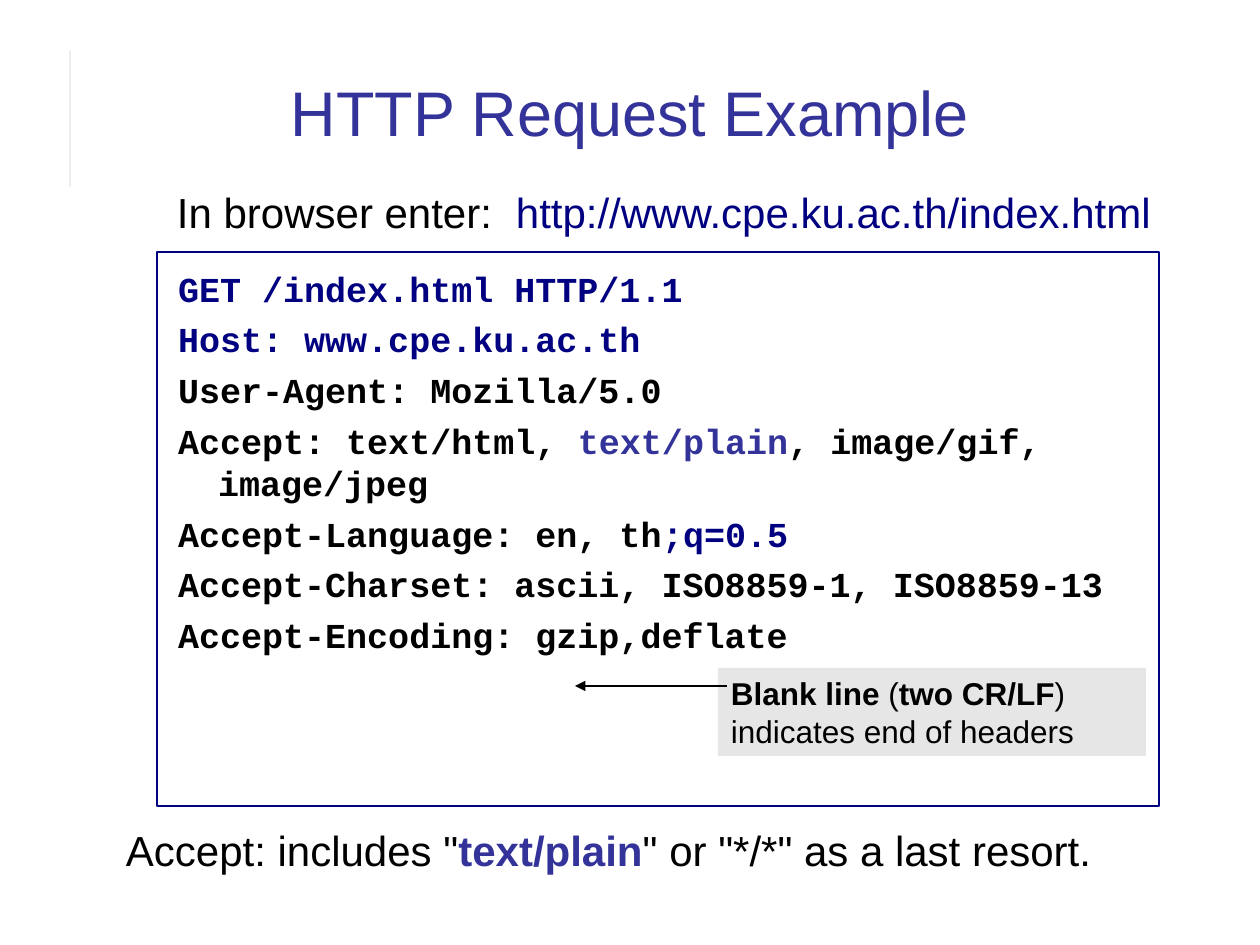
"""Build the HTTP request example slide."""
import pptx
import pptx.util
import pptx.dml.color
import pptx.enum.text
import pptx.enum.shapes
import pptx.oxml.ns
import lxml.etree

NAVY, BLUE, BLACK, GREY, PALE = "000080", "333399", "000000", "E6E6E6", "EEEEEE"
SANS, MONO = "Arial", "Courier New"
ANCHOR = pptx.enum.text.MSO_ANCHOR
ALIGN = pptx.enum.text.PP_ALIGN
TAB = 339

TITLE = [[("HTTP Request Example", BLUE, False)]]
ENTER = [[("In browser enter:\t", BLACK, False),
          ("http://www.cpe.ku.ac.th/index.html", NAVY, False)]]
CODE = [
    [("GET /index.html HTTP/1.1", NAVY, True)],
    [("Host: www.cpe.ku.ac.th", NAVY, True)],
    [("User-Agent: Mozilla/5.0", BLACK, True)],
    [("Accept: text/html, ", BLACK, True), ("text/plain", BLUE, True),
     (", image/gif, image/jpeg", BLACK, True)],
    [("Accept-Language: en, th", BLACK, True), (";q=0.5", NAVY, True)],
    [("Accept-Charset: ascii, ISO8859-1, ISO8859-13", BLACK, True)],
    [("Accept-Encoding: gzip,deflate", BLACK, True)],
]
BLANK = [[("Blank line ", BLACK, True), ("(", BLACK, False), ("two CR/LF", BLACK, True),
          (") indicates end of headers", BLACK, False)]]
RESORT = [[('Accept: includes "', BLACK, False), ("text/plain", BLUE, True),
           ('" or "*/*" as a last resort.', BLACK, False)]]
LINES = [((70, 50), (70, 187), PALE, 0.75, False),
         ((727, 686), (575, 686), BLACK, 0.75, True)]


def px(n):
    return round(n * 914400 / 126)


def hue(code):
    return pptx.dml.color.RGBColor.from_string(code)


def add(node, tag, **attrs):
    return lxml.etree.SubElement(node, pptx.oxml.ns.qn(tag), attrs)


def put(item, **vals):
    for key, val in vals.items():
        setattr(item, key, val)


def place(shape, left, top, width, height):
    put(shape, left=px(left), top=px(top), width=px(width), height=px(height))


def write(shape, rows, face, size, align=ALIGN.LEFT, anchor=ANCHOR.TOP, top=6, hang=0, tab=0):
    frame = shape.text_frame
    put(frame, word_wrap=True, auto_size=pptx.enum.text.MSO_AUTO_SIZE.NONE,
        vertical_anchor=anchor, margin_left=px(13), margin_right=px(13),
        margin_top=px(top), margin_bottom=px(6))
    for i, row in enumerate(rows):
        para = frame.paragraphs[0] if i == 0 else frame.add_paragraph()
        put(para, alignment=align, space_before=pptx.util.Pt(5 if i else 0))
        props = para._p.get_or_add_pPr()
        if hang:
            props.set("marL", str(px(48)))
            props.set("indent", str(px(-hang)))
            add(props, "a:buNone")
        if tab:
            add(add(props, "a:tabLst"), "a:tab", pos=str(px(tab)), algn="l")
        for text, tint, bold in row:
            run = para.add_run()
            run.text = text
            put(run.font, name=face, size=pptx.util.Pt(size), bold=bold)
            run.font.color.rgb = hue(tint)


def draw(shapes, start, end, tint, width, arrow):
    line = shapes.add_connector(pptx.enum.shapes.MSO_CONNECTOR.STRAIGHT,
                                *map(px, start + end))
    line.line.color.rgb = hue(tint)
    line.line.width = pptx.util.Pt(width)
    if arrow:
        add(line.line._get_or_add_ln(), "a:tailEnd", type="triangle")
    add(line._element.spPr, "a:effectLst")


def main():
    deck = pptx.Presentation()
    put(deck, slide_width=px(1260), slide_height=px(945))
    slide = deck.slides.add_slide(deck.slide_layouts[1])
    shapes = slide.shapes
    draw(shapes, *LINES[0])

    title, body = shapes.title, slide.placeholders[1]
    place(title, 84, 35, 1092, 120)
    write(title, TITLE, SANS, 36, align=ALIGN.CENTER, anchor=ANCHOR.BOTTOM)

    place(body, 157, 252, 1002, 554)
    body.line.color.rgb = hue(NAVY)
    body.line.width = pptx.util.Pt(1)
    write(body, CODE, MONO, 20, top=15, hang=40)

    note = shapes.add_shape(pptx.enum.shapes.MSO_SHAPE.RECTANGLE,
                            px(718), px(668), px(428), px(88))
    note.shadow.inherit = False
    note.fill.solid()
    note.fill.fore_color.rgb = hue(GREY)
    note.line.fill.background()
    write(note, BLANK, SANS, 18)

    for box, rows, tab in [((113, 819, 1058, 63), RESORT, 0),
                           ((164, 180, 1071, 54), ENTER, TAB)]:
        write(shapes.add_textbox(*map(px, box)), rows, SANS, 24, tab=tab)
    draw(shapes, *LINES[1])
    deck.save("out.pptx")


if __name__ == "__main__":
    main()
